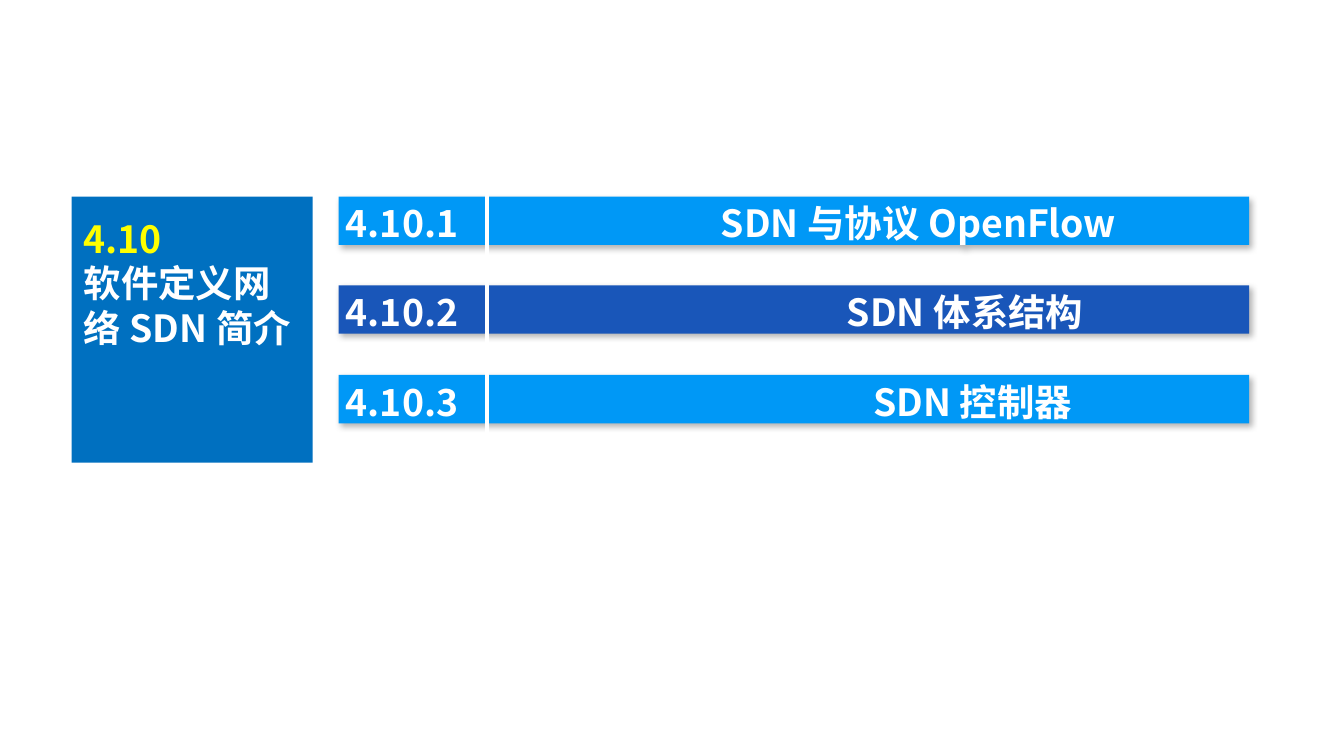
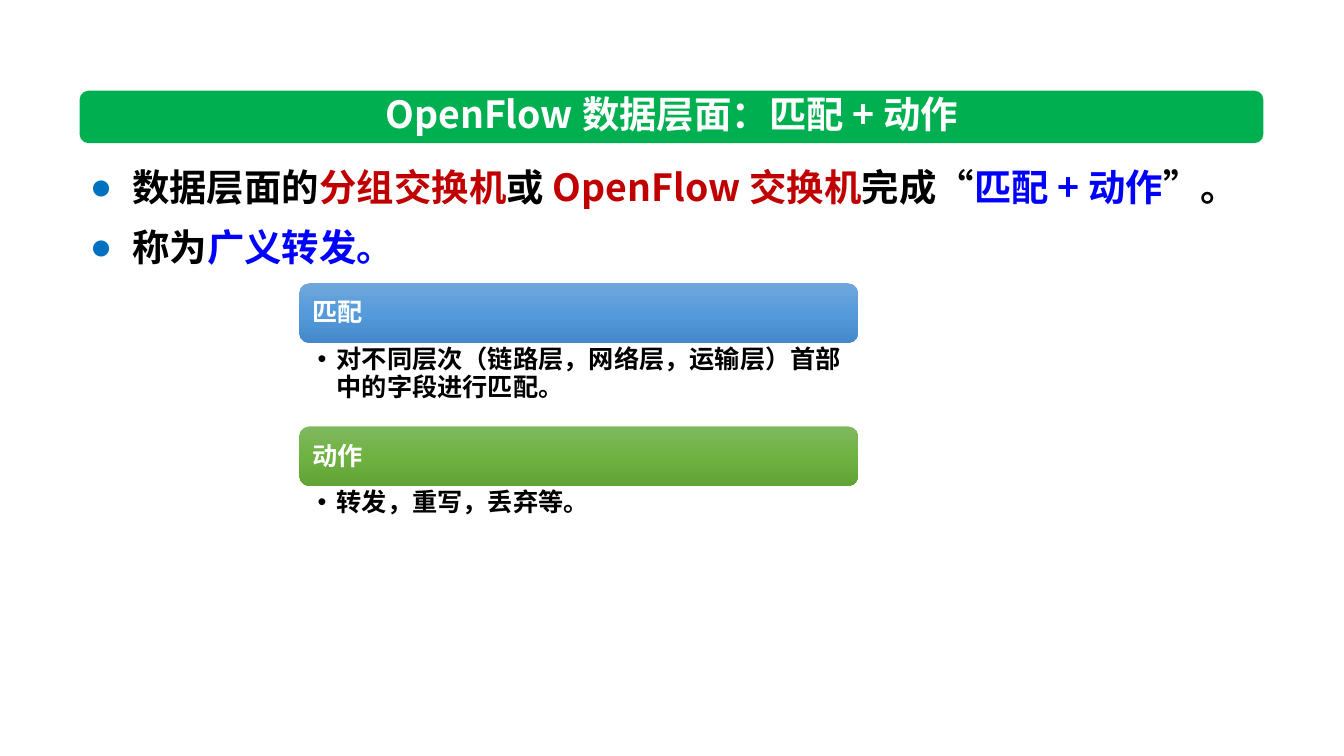
import copy
from dataclasses import dataclass

import lxml.etree
import pptx
import pptx.dml.color
import pptx.enum.shapes
import pptx.enum.text
import pptx.oxml.ns
import pptx.util

RGB = pptx.dml.color.RGBColor
Align = pptx.enum.text.PP_ALIGN
Anchor = pptx.enum.text.MSO_ANCHOR
Shape = pptx.enum.shapes.MSO_SHAPE
qn = pptx.oxml.ns.qn
Pt = pptx.util.Pt

SCALE = 9144
FONT = "Noto Sans CJK SC"
BIG, SMALL = 26.7, 18
WHITE = RGB(0xFF, 0xFF, 0xFF)
BLACK = RGB(0x00, 0x00, 0x00)
YELLOW = RGB(0xFF, 0xFF, 0x00)
RED = RGB(0xC0, 0x00, 0x00)
BLUE = RGB(0x00, 0x00, 0xFF)
PANEL = RGB(0x00, 0x70, 0xC0)
SKY = RGB(0x00, 0x98, 0xF6)
NAVY = RGB(0x19, 0x56, 0xB9)
GREEN = RGB(0x00, 0xB0, 0x50)
BLUES = (RGB(0x71, 0xA6, 0xDB), RGB(0x55, 0x9B, 0xDB), RGB(0x44, 0x8A, 0xCA))
GREENS = (RGB(0x81, 0xB8, 0x61), RGB(0x6F, 0xB2, 0x42), RGB(0x62, 0xA3, 0x36))


@dataclass(frozen=True)
class Row:
    number: str
    title: str
    fill: RGB
    tab: int


@dataclass(frozen=True)
class Card:
    head: str
    text: str
    fills: tuple
    depth: int


ROWS = (
    Row("4.10.1", "SDN 与协议 OpenFlow", SKY, 372),
    Row("4.10.2", "SDN 体系结构", NAVY, 497),
    Row("4.10.3", "SDN 控制器", SKY, 523),
)
CARDS = (
    Card("匹配", "对不同层次（链路层，网络层，运输层）首部中的字段进行匹配。", BLUES, 83),
    Card("动作", "转发，重写，丢弃等。", GREENS, 63),
)
POINTS = (
    (("数据层面的", BLACK), ("分组交换机", RED), ("或 ", BLACK),
     ("OpenFlow 交换机", RED), ("完成“", BLACK),
     ("匹配 + 动作", BLUE), ("”。", BLACK)),
    (("称为", BLACK), ("广义转发。", BLUE)),
)


def px(value: int) -> pptx.util.Emu:
    return pptx.util.Emu(value * SCALE)


def child(node, tag: str, **attrs):
    return lxml.etree.SubElement(node, qn(tag), {k: str(v) for k, v in attrs.items()})


def place(shape, x: int, y: int, w: int, h: int) -> None:
    shape.left, shape.top, shape.width, shape.height = map(px, (x, y, w, h))


def write(shape, paras, *, size=BIG, line=32, align=Align.LEFT, anchor=Anchor.TOP,
          inset=(10, 5, 10, 5), bullet="", hang=0, tint=None, tab=0) -> None:
    frame = shape.text_frame
    frame.word_wrap = True
    frame.auto_size = pptx.enum.text.MSO_AUTO_SIZE.NONE
    frame.vertical_anchor = anchor
    (frame.margin_left, frame.margin_top,
     frame.margin_right, frame.margin_bottom) = map(px, inset)
    for i, runs in enumerate(paras):
        para = frame.add_paragraph() if i else frame.paragraphs[0]
        props = para._p.get_or_add_pPr()
        if bullet:
            props.set("marL", str(px(hang)))
            props.set("indent", str(-px(hang)))
            if tint is not None:
                child(child(props, "a:buClr"), "a:srgbClr", val=tint)
            child(props, "a:buFont", typeface="Arial")
            child(props, "a:buChar", char=bullet)
        if tab:
            child(child(props, "a:tabLst"), "a:tab", pos=px(tab), algn="l")
        para.alignment = align
        para.line_spacing = Pt(line)
        para.space_before = para.space_after = Pt(0)
        for text, color in runs:
            run = para.add_run()
            run.text = text
            font = run.font
            font.name, font.size, font.bold = FONT, Pt(size), True
            font.color.rgb = color
            child(font._element, "a:ea", typeface=FONT)


def box(slide, kind, x: int, y: int, w: int, h: int, fill=None):
    shape = slide.shapes.add_shape(kind, *map(px, (x, y, w, h)))
    shape.shadow.inherit = False
    shape.line.fill.background()
    if fill is not None:
        shape.fill.solid()
        shape.fill.fore_color.rgb = fill
    return shape


def shade(shape) -> None:
    effect = shape.element.spPr.find(qn("a:effectLst"))
    outer = child(effect, "a:outerShdw", blurRad=Pt(4.5), dist=Pt(2.6),
                  dir=53 * 60000, algn="tl", rotWithShape=0)
    child(child(outer, "a:srgbClr", val=BLACK), "a:alpha", val=30000)


def blend(shape, colors) -> None:
    fill = shape.fill
    fill.gradient()
    fill.gradient_angle = 270
    stops = shape.element.spPr.find(".//" + qn("a:gsLst"))
    stops.insert(1, copy.deepcopy(stops[0]))
    for stop, color, pos in zip(fill.gradient_stops, colors, (0, 0.5, 1)):
        stop.position = pos
        stop.color.rgb = color


def draw_row(slide, row: Row, top: int) -> None:
    bar = box(slide, Shape.RECTANGLE, 336, top, 903, 48, row.fill)
    shade(bar)
    write(bar, [[(f"{row.number}\t{row.title}", WHITE)]],
          inset=(7, 4, 0, 0), tab=row.tab)


def draw_card(slide, card: Card, top: int) -> int:
    left, wide, high = 297, 554, 59
    head = box(slide, Shape.ROUNDED_RECTANGLE, left, top, wide, high)
    blend(head, card.fills)
    write(head, [[(card.head, WHITE)]], size=SMALL, line=20,
          anchor=Anchor.MIDDLE, inset=(10, 7, 10, 7))
    note = slide.shapes.add_textbox(*map(px, (left, top + high, wide, card.depth)))
    write(note, [[(card.text, BLACK)]], size=SMALL, line=20,
          inset=(18, 3, 14, 3), bullet="•", hang=19)
    return top + high + card.depth


def agenda(deck) -> None:
    slide = deck.slides.add_slide(deck.slide_layouts[5])
    title = slide.shapes.title
    place(title, 71, 195, 239, 264)
    title.fill.solid()
    title.fill.fore_color.rgb = PANEL
    write(title, [[("4.10", YELLOW)], [("软件定义网络 SDN 简介", WHITE)]],
          inset=(12, 19, 10, 5))
    for i, row in enumerate(ROWS):
        draw_row(slide, row, 195 + i * 177 // 2)
    rule = slide.shapes.add_connector(
        pptx.enum.shapes.MSO_CONNECTOR.STRAIGHT, *map(px, (483, 185, 483, 518)))
    rule.line.color.rgb = WHITE
    rule.line.width = Pt(2.25)
    child(rule.element.spPr, "a:effectLst")


def plane(deck) -> None:
    slide = deck.slides.add_slide(deck.slide_layouts[1])
    band = box(slide, Shape.ROUNDED_RECTANGLE, 79, 90, 1174, 52, GREEN)
    band.element.getparent().insert(2, band.element)
    title = slide.shapes.title
    place(title, 283, 85, 767, 55)
    write(title, [[("OpenFlow 数据层面：匹配 + 动作", WHITE)]], align=Align.CENTER)
    body = slide.placeholders[1]
    place(body, 79, 143, 1174, 125)
    write(body, POINTS, line=42.7, inset=(10, 5, 0, 5),
          bullet="●", hang=42, tint=PANEL)
    top = 281
    for card in CARDS:
        top = draw_card(slide, card, top)


def main() -> None:
    deck = pptx.Presentation()
    deck.slide_width, deck.slide_height = px(1333), px(750)
    agenda(deck)
    plane(deck)
    deck.save("out.pptx")


if __name__ == "__main__":
    main()
